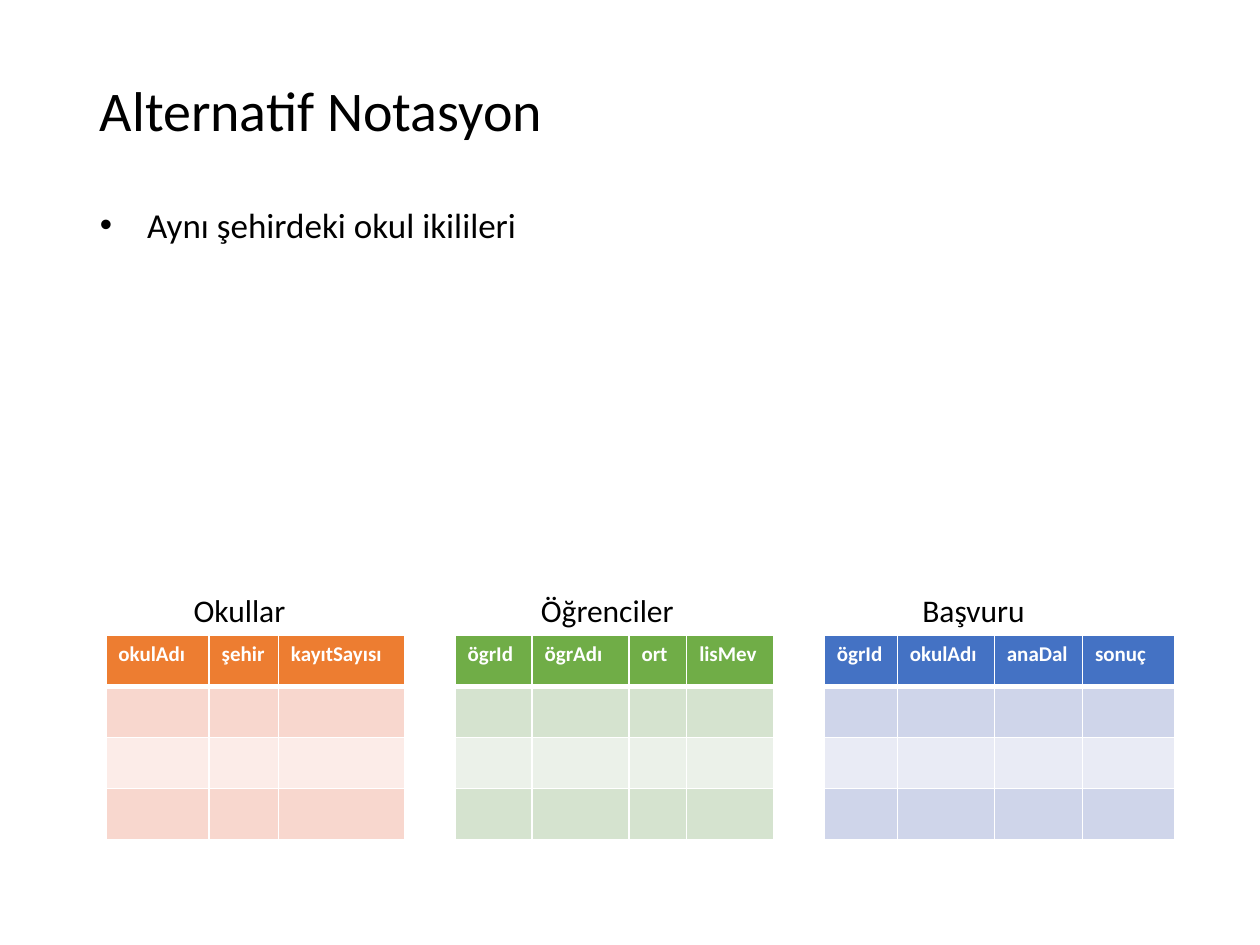
from lxml.etree import SubElement
from pptx import Presentation
from pptx.dml.color import RGBColor
from pptx.enum.text import MSO_ANCHOR
from pptx.oxml import parse_xml
from pptx.oxml.ns import nsdecls, qn
from pptx.util import Pt

COLORS = {
    "text": "000000",
    "white": "FFFFFF",
    "orange": ("ED7D31", "F8D7CE", "FCECE8"),
    "green": ("70AD47", "D5E3CF", "EBF1E9"),
    "blue": ("4472C4", "CFD5EA", "E9EBF5"),
}
FONT = "Calibri"
ROW_HEIGHT = 29.2
ROW_COUNT = 4
TABLE_TOP = 363
TABLES = [
    (60.5, "orange", [("okulAdı", 59), ("şehir", 39.6), ("kayıtSayısı", 72)]),
    (260, "green", [("ögrId", 44), ("ögrAdı", 55.4), ("ort", 33), ("lisMev", 49.7)]),
    (471, "blue", [("ögrId", 41.8), ("okulAdı", 55.4), ("anaDal", 50.4), ("sonuç", 52.6)]),
]


def style_text(para, size, color, bold=False):
    for span in para.runs:
        span.font.name = FONT
        span.font.size = Pt(size)
        span.font.bold = bold
        span.font.color.rgb = RGBColor.from_string(color)


def add_text(page, left, top, width, height, text, size, wrap=False):
    box = page.shapes.add_textbox(Pt(left), Pt(top), Pt(width), Pt(height))
    box.text_frame.word_wrap = wrap
    box.text_frame.text = text
    para = box.text_frame.paragraphs[0]
    style_text(para, size, COLORS["text"])
    return box, para


def add_title(page, left, top, width, height):
    box, para = add_text(page, left, top, width, height, "Alternatif Notasyon", 32, wrap=True)
    box.text_frame.vertical_anchor = MSO_ANCHOR.MIDDLE
    para.line_spacing = 0.9


def add_bullet(page, left, top, width, height):
    box, para = add_text(page, left, top, width, height, "Aynı şehirdeki okul ikilileri", 20)
    properties = para._p.get_or_add_pPr()
    properties.set("marL", str(Pt(27)))
    properties.set("indent", str(Pt(-27)))
    SubElement(properties, qn("a:buFont"), typeface="Arial")
    SubElement(properties, qn("a:buChar"), char="•")


def add_table_names(page, left, top, width, height, stops):
    box, para = add_text(page, left, top, width, height, "Okullar\tÖğrenciler\tBaşvuru", 18)
    tabs = SubElement(para._p.get_or_add_pPr(), qn("a:tabLst"))
    for stop in stops:
        SubElement(tabs, qn("a:tab"), pos=str(Pt(stop)), algn="l")


def set_borders(cell, top, bottom):
    properties = cell._tc.get_or_add_tcPr()
    sides = [("lnL", 1), ("lnR", 1), ("lnT", top), ("lnB", bottom)]
    for position, (side, width) in enumerate(sides):
        properties.insert(position, parse_xml(
            f'<a:{side} {nsdecls("a")} w="{Pt(width)}"><a:solidFill>'
            f'<a:srgbClr val="{COLORS["white"]}"/></a:solidFill></a:{side}>'
        ))


def add_schema_table(page, left, top, columns, shades):
    header, dark, light = shades
    width = sum(column_width for _, column_width in columns)
    table = page.shapes.add_table(
        ROW_COUNT, len(columns), Pt(left), Pt(top), Pt(width), Pt(ROW_HEIGHT * ROW_COUNT)
    ).table
    for column, (name, column_width) in zip(table.columns, columns):
        column.width = Pt(column_width)
    for row_index, fill in enumerate([header, dark, light, dark]):
        table.rows[row_index].height = Pt(ROW_HEIGHT)
        for column_index, (name, _) in enumerate(columns):
            cell = table.cell(row_index, column_index)
            cell.fill.solid()
            cell.fill.fore_color.rgb = RGBColor.from_string(fill)
            set_borders(cell, 3 if row_index == 1 else 1, 3 if row_index == 0 else 1)
            if row_index == 0:
                cell.text_frame.text = name
                style_text(cell.text_frame.paragraphs[0], 12, COLORS["white"], bold=True)


def main():
    deck = Presentation()
    deck.slide_width, deck.slide_height = Pt(720), Pt(540)
    page = deck.slides.add_slide(deck.slide_layouts[6])
    add_title(page, 50, 29, 620, 71)
    for left, color, columns in TABLES:
        add_schema_table(page, left, TABLE_TOP, columns, COLORS[color])
    add_table_names(page, 103.5, 334, 495, 29, [198.5, 416.5])
    add_bullet(page, 50, 113, 255, 55)
    deck.save("out.pptx")


if __name__ == "__main__":
    main()
